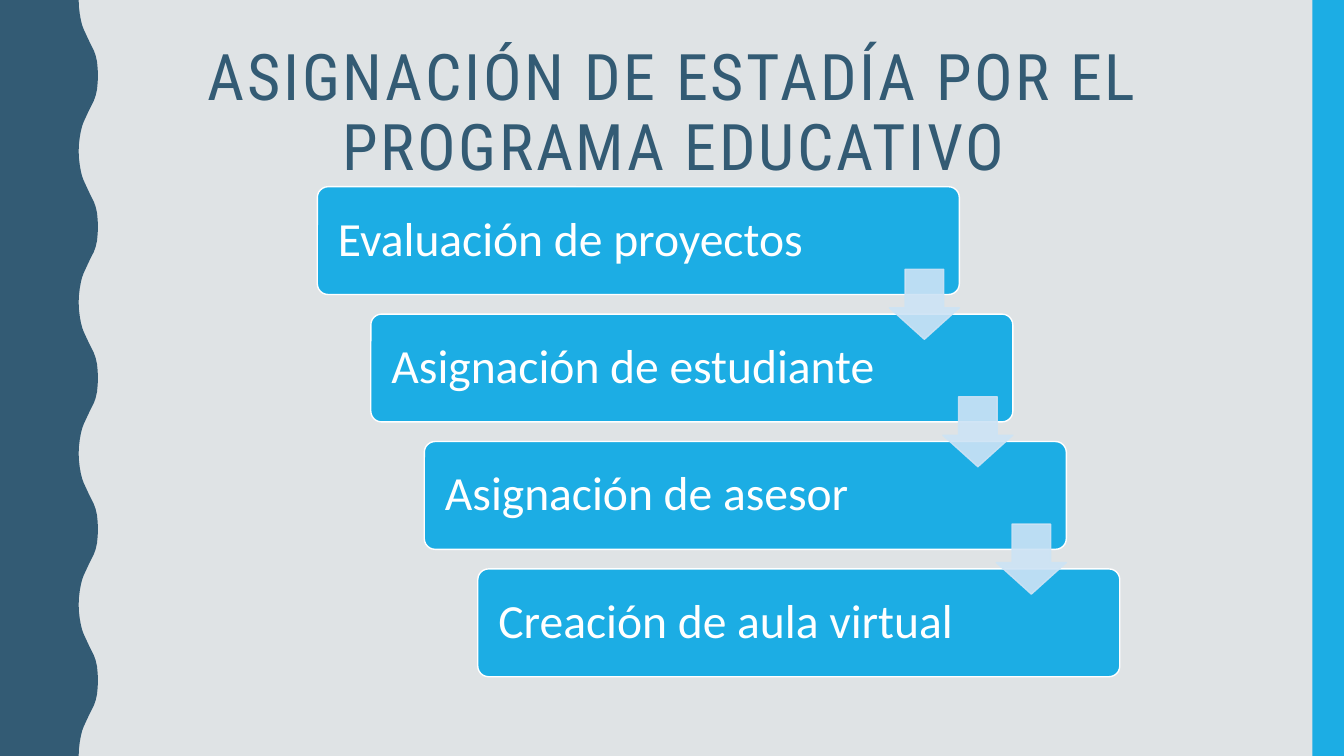
from lxml.etree import SubElement
from pptx import Presentation
from pptx.dml.color import RGBColor
from pptx.enum.shapes import MSO_SHAPE
from pptx.enum.text import MSO_ANCHOR, MSO_AUTO_SIZE, PP_ALIGN
from pptx.oxml.ns import qn
from pptx.util import Pt

NAVY = RGBColor(0x33, 0x5B, 0x74)
BLUE = RGBColor(0x1C, 0xAD, 0xE4)
PALE_BLUE = RGBColor(0xCD, 0xE3, 0xF5)
GRAY = RGBColor(0xDF, 0xE3, 0xE5)
WHITE = RGBColor(0xFF, 0xFF, 0xFF)

SLIDE_W, SLIDE_H = 960, 540
TITLE = "ASIGNACIÓN DE ESTADÍA POR EL PROGRAMA EDUCATIVO"
STEPS = [
    "Evaluación de proyectos",
    "Asignación de estudiante",
    "Asignación de asesor",
    "Creación de aula virtual",
]

# Half a wave of the left band: (depth, distance from the left edge)
WAVE_PERIOD = 108
HALF_WAVE = [
    (0, 56.2), (5, 56.4), (10, 57), (14.4, 57.8), (18, 58.7),
    (21, 59.8), (24, 61.2), (27, 62.6), (30, 64), (33, 65.5),
    (36, 67), (39.6, 68.3), (44, 69.3), (49, 69.8), (54, 70),
]


def set_style(shape, fill, line=None):
    shape.shadow.inherit = False
    shape.fill.solid()
    shape.fill.fore_color.rgb = fill
    if line is None:
        shape.line.fill.background()
    else:
        shape.line.color.rgb = line
        shape.line.width = Pt(1)


def set_opacity(shape, percent):
    for color in shape._element.spPr.iter(qn("a:srgbClr")):
        SubElement(color, qn("a:alpha"), val=str(percent * 1000))


def add_wave_band(slide, left, top, height):
    wave = HALF_WAVE + [(WAVE_PERIOD - y, x) for y, x in HALF_WAVE[-2::-1]]
    edge = [
        (Pt(left + x), Pt(top + start + y))
        for start in range(0, height, WAVE_PERIOD)
        for y, x in wave
    ]
    outline = slide.shapes.build_freeform(Pt(left), Pt(top))
    outline.add_line_segments(edge + [(Pt(left), Pt(top + height))], close=True)
    set_style(outline.convert_to_shape(), NAVY)


def add_side_bar(slide, left, top, width, height):
    bar = slide.shapes.add_shape(
        MSO_SHAPE.RECTANGLE, Pt(left), Pt(top), Pt(width), Pt(height))
    set_style(bar, BLUE)


def add_title(slide, left, top, width, height):
    title = slide.shapes.title
    title.left, title.top = Pt(left), Pt(top)
    title.width, title.height = Pt(width), Pt(height)
    frame = title.text_frame
    frame.text = TITLE
    frame.word_wrap = True
    frame.auto_size = MSO_AUTO_SIZE.NONE
    frame.vertical_anchor = MSO_ANCHOR.MIDDLE
    heading = frame.paragraphs[0]
    heading.alignment = PP_ALIGN.CENTER
    heading.line_spacing = 0.9
    run = heading.runs[0]
    run.font.name = "Roboto Condensed"
    run.font.size = Pt(45.9)
    run.font.color.rgb = NAVY
    run.font._element.set("spc", "200")


def add_step(slide, label, left, top, width, height):
    step = slide.shapes.add_shape(
        MSO_SHAPE.ROUNDED_RECTANGLE, Pt(left), Pt(top), Pt(width), Pt(height))
    step.adjustments[0] = 0.1
    set_style(step, BLUE, WHITE)
    frame = step.text_frame
    frame.text = label
    frame.word_wrap = True
    frame.vertical_anchor = MSO_ANCHOR.MIDDLE
    frame.margin_left = Pt(12.5)
    text = frame.paragraphs[0]
    text.alignment = PP_ALIGN.LEFT
    text.line_spacing = 0.9
    font = text.runs[0].font
    font.name = "Calibri"
    font.size = Pt(34)
    font.color.rgb = WHITE


def add_arrow(slide, left, top, size):
    arrow = slide.shapes.add_shape(
        MSO_SHAPE.DOWN_ARROW, Pt(left), Pt(top), Pt(size), Pt(size))
    arrow.adjustments[0] = 0.55
    arrow.adjustments[1] = 0.45
    set_style(arrow, PALE_BLUE, PALE_BLUE)
    set_opacity(arrow, 90)


def add_staircase(slide, left, top, width, height):
    step_w, step_h, arrow_size = 458.6, 77, 50
    shift = (width - step_w) / (len(STEPS) - 1)
    drop = (height - step_h) / (len(STEPS) - 1)
    corners = [(left + i * shift, top + i * drop) for i in range(len(STEPS))]
    for label, (x, y) in zip(STEPS, corners):
        add_step(slide, label, x, y, step_w, step_h)
    # Arrows lie over both of the steps they join
    for x, y in corners[:-1]:
        add_arrow(slide, x + step_w - arrow_size, y + 59, arrow_size)


def main():
    deck = Presentation()
    deck.slide_width, deck.slide_height = Pt(SLIDE_W), Pt(SLIDE_H)
    slide = deck.slides.add_slide(deck.slide_layouts[5])
    slide.background.fill.solid()
    slide.background.fill.fore_color.rgb = GRAY

    add_wave_band(slide, 0, 0, SLIDE_H)
    add_side_bar(slide, 937.5, 0, 22.5, SLIDE_H)
    add_title(slide, 98.6, 30.2, 765.4, 103.7)
    add_staircase(slide, 226.7, 133.4, 573.2, 350)
    deck.save("out.pptx")


if __name__ == "__main__":
    main()
